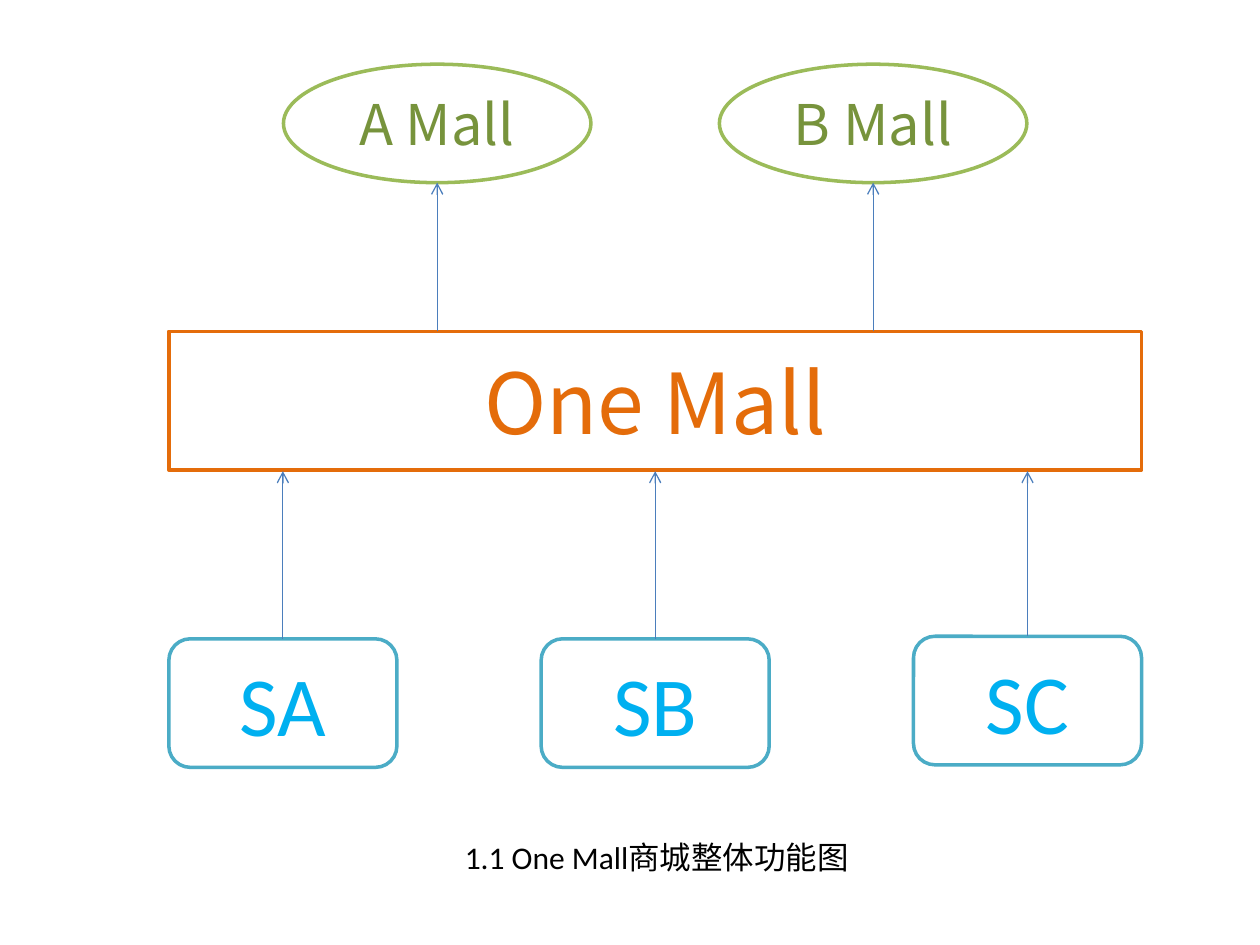
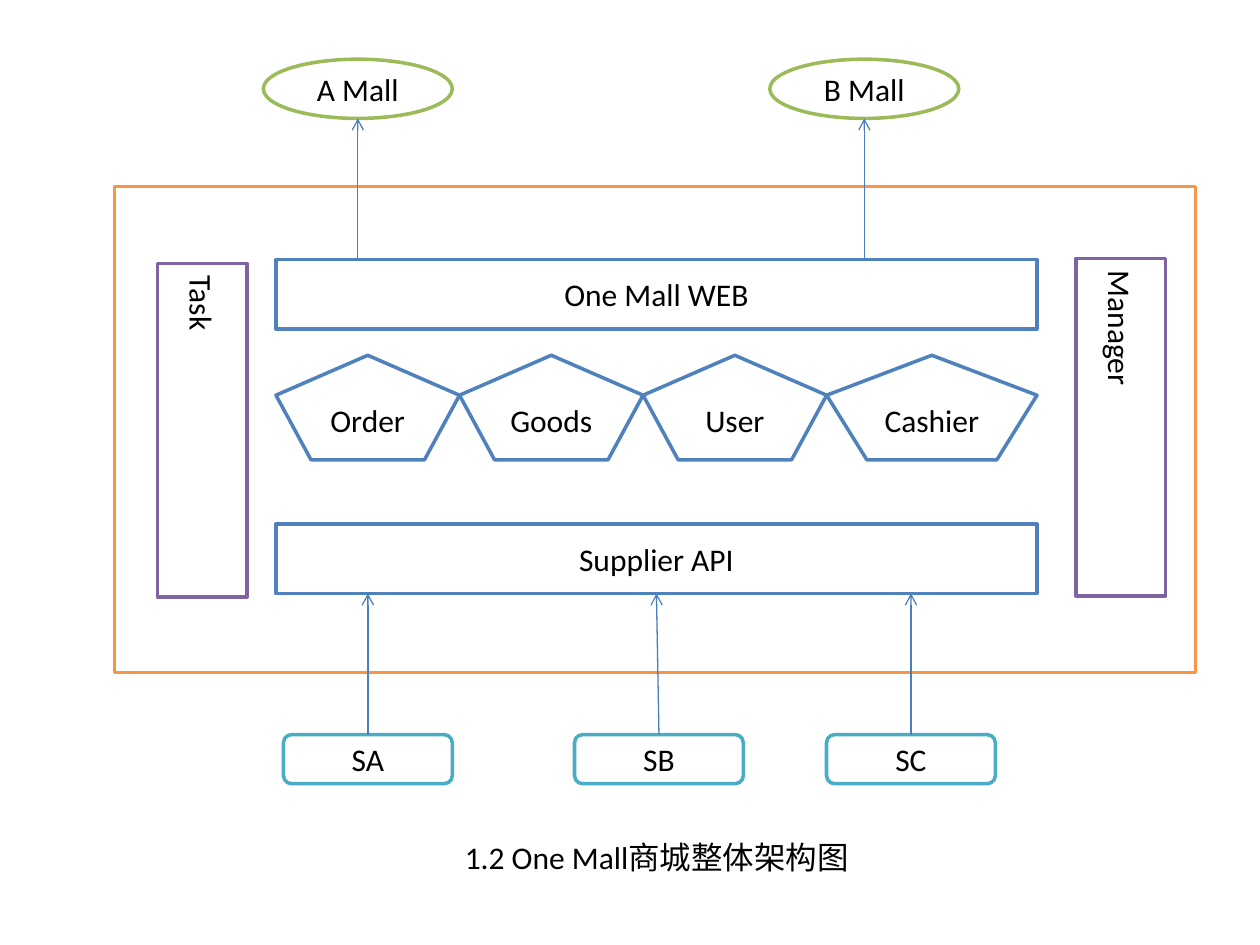
"""Build two diagrams of a mall platform: its functions and its architecture."""
from pptx import Presentation
from pptx.dml.color import RGBColor
from pptx.enum.shapes import MSO_CONNECTOR, MSO_SHAPE
from pptx.enum.text import MSO_ANCHOR, PP_ALIGN
from pptx.oxml.ns import qn
from pptx.util import Inches, Pt

COLORS = {
    "white": "FFFFFF", "black": "000000", "arrow": "4B7EBC",
    "mall": "9BBB59", "mall text": "77933C",
    "platform": "E46C0A", "frame": "F79646",
    "supplier": "4BACC6", "supplier text": "00B0F0",
    "service": "4F81BD", "side": "8064A2",
}
LATIN, CJK = "Calibri", "Noto Sans CJK SC"
MALLS = ["A Mall", "B Mall"]
SUPPLIERS = ["SA", "SB", "SC"]

prs = Presentation()
prs.slide_width, prs.slide_height = Inches(10), Inches(7.5)
COL, ROW = prs.slide_width / 10, prs.slide_height / 7.5


def add_box(slide, kind, line, area, text="", size=18, color="black", font=LATIN):
    left, top, width, height = area
    box = slide.shapes.add_shape(kind, int(left * COL), int(top * ROW),
                                 int(width * COL), int(height * ROW))
    box.shadow.inherit = False
    box.fill.solid()
    box.fill.fore_color.rgb = RGBColor.from_string(COLORS["white"])
    box.line.color.rgb = RGBColor.from_string(COLORS[line])
    box.line.width = Pt(2)
    if text:
        frame = box.text_frame
        frame.word_wrap = True
        frame.vertical_anchor = MSO_ANCHOR.MIDDLE
        frame.text = text
        paragraph = frame.paragraphs[0]
        paragraph.alignment = PP_ALIGN.CENTER
        paragraph.runs[0].font.size = Pt(size)
        paragraph.runs[0].font.name = font
        paragraph.runs[0].font.color.rgb = RGBColor.from_string(COLORS[color])
    return box


def add_arrow(slide, start_x, start_y, end_x, end_y):
    arrow = slide.shapes.add_connector(
        MSO_CONNECTOR.STRAIGHT, int(start_x * COL), int(start_y * ROW),
        int(end_x * COL), int(end_y * ROW))
    arrow.line.color.rgb = RGBColor.from_string(COLORS["arrow"])
    arrow.line.width = Pt(0.75)
    tail = arrow.line._get_or_add_ln().makeelement(qn("a:tailEnd"), {"type": "arrow"})
    arrow.line._get_or_add_ln().append(tail)
    properties = arrow._element.spPr
    properties.append(properties.makeelement(qn("a:effectLst"), {}))


functions, architecture = [prs.slides.add_slide(prs.slide_layouts[6]) for _ in range(2)]

for slide, caption in [(functions, "1.1 One Mall商城整体功能图"),
                       (architecture, "1.2 One Mall商城整体架构图")]:
    label = slide.shapes.add_textbox(int(3.59 * COL), int(6.6 * ROW),
                                     int(3.28 * COL), int(0.4 * ROW))
    label.text_frame.word_wrap = True
    label.text_frame.text = caption
    run = label.text_frame.paragraphs[0].runs[0]
    run.font.size = Pt(18)
    run.font.name = LATIN
    run.font.color.rgb = RGBColor.from_string(COLORS["black"])
    properties = run._r.get_or_add_rPr()
    east_asian = properties.makeelement(qn("a:ea"), {"typeface": CJK})
    properties.find(qn("a:latin")).addnext(east_asian)

add_box(functions, MSO_SHAPE.RECTANGLE, "platform", (1.34, 2.63, 7.72, 1.1),
        "One Mall", 48, "platform", CJK)
for i, name in enumerate(MALLS):
    left, width = 2.25 + i * 3.46, 2.44
    add_box(functions, MSO_SHAPE.OVAL, "mall", (left, 0.51, width, 0.94),
            name, 32, "mall text", CJK)
    add_arrow(functions, left + width / 2, 2.63, left + width / 2, 1.45)
for i, (name, top) in enumerate(zip(SUPPLIERS, [5.07, 5.07, 5.05])):
    left, width = 1.34 + i * 2.955, 1.81
    add_box(functions, MSO_SHAPE.ROUNDED_RECTANGLE, "supplier", (left, top, width, 1.02),
            name, 48, "supplier text")
    add_arrow(functions, left + width / 2, top, left + width / 2, 3.74)

add_box(architecture, MSO_SHAPE.RECTANGLE, "frame", (0.91, 1.48, 8.58, 3.86))
for name, left, top, height in [("Task", 1.25, 2.09, 2.65), ("Manager", 8.54, 2.05, 2.68)]:
    side = add_box(architecture, MSO_SHAPE.RECTANGLE, "side", (left, top, 0.71, height), name)
    side.text_frame._txBody.bodyPr.set("vert", "eaVert")
for name, top in [("One Mall WEB", 2.06), ("Supplier API", 4.16)]:
    add_box(architecture, MSO_SHAPE.RECTANGLE, "service", (2.19, top, 6.04, 0.55), name)
left = 2.19
for name, width in [("Order", 1.457), ("Goods", 1.457), ("User", 1.457), ("Cashier", 1.67)]:
    add_box(architecture, MSO_SHAPE.REGULAR_PENTAGON, "service", (left, 2.82, width, 0.83), name)
    left += width
for i, name in enumerate(MALLS):
    left, width = 2.09 + i * 4.02, 1.5
    add_box(architecture, MSO_SHAPE.OVAL, "mall", (left, 0.47, width, 0.47), name)
    add_arrow(architecture, left + width / 2, 2.06, left + width / 2, 0.94)
for name, left, end_x in zip(SUPPLIERS, [2.25, 4.56, 6.56], [2.92, 5.21, 7.23]):
    width = 1.34
    add_box(architecture, MSO_SHAPE.ROUNDED_RECTANGLE, "supplier", (left, 5.83, width, 0.39), name)
    add_arrow(architecture, left + width / 2, 5.83, end_x, 4.71)

prs.save("out.pptx")
